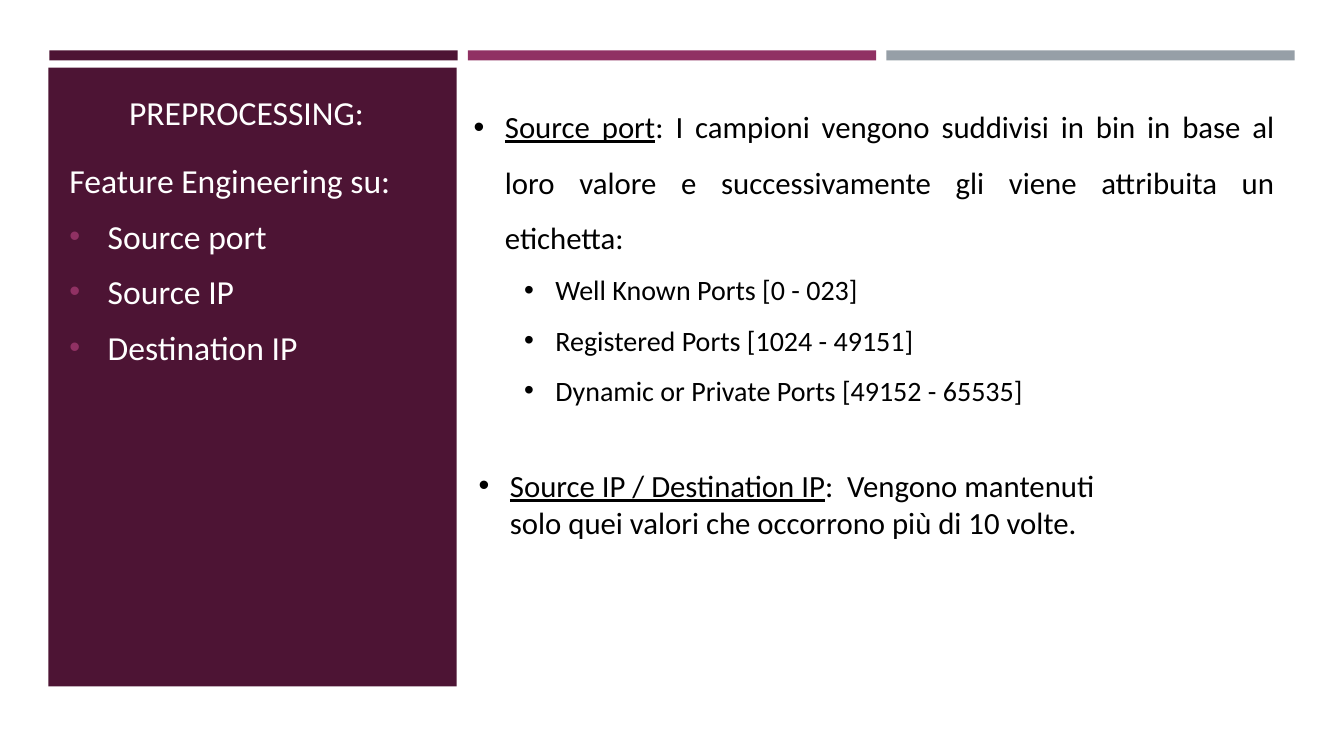
from pptx import Presentation
from pptx.dml.color import RGBColor
from pptx.enum.shapes import MSO_SHAPE as Shape
from pptx.enum.text import MSO_ANCHOR as Anchor, PP_ALIGN as Align
from pptx.oxml import parse_xml
from pptx.oxml.ns import nsdecls
from pptx.util import Inches, Pt

WHITE = RGBColor(0xFF, 0xFF, 0xFF)
BLACK = RGBColor(0x00, 0x00, 0x00)
PLUM = RGBColor(0x4D, 0x14, 0x34)
MAGENTA = RGBColor(0x90, 0x31, 0x63)
GREY = RGBColor(0x96, 0x9F, 0xA7)


class SlideBuilder:
    font = "Calibri"

    def __init__(self, page):
        self.page = page

    def block(self, left, top, width, height, color):
        shape = self.page.shapes.add_shape(
            Shape.RECTANGLE, Inches(left), Inches(top), Inches(width), Inches(height))
        shape.shadow.inherit = False
        shape.fill.solid()
        shape.fill.fore_color.rgb = color
        shape.line.fill.background()

    def text_box(self, left, top, width, height, anchor=Anchor.TOP):
        box = self.page.shapes.add_textbox(
            Inches(left), Inches(top), Inches(width), Inches(height))
        frame = box.text_frame
        frame.word_wrap = True
        frame.vertical_anchor = anchor
        return frame

    def paragraph(self, frame, text, size, color, lead="", align=Align.LEFT,
                  spacing=None, before=0, after=0):
        """Fill the empty first paragraph or add one; lead is underlined."""
        first = frame.paragraphs[0]
        para = frame.add_paragraph() if first.runs else first
        para.alignment = align
        para.line_spacing = spacing
        para.space_before, para.space_after = Pt(before), Pt(after)
        for words, underlined in ((lead, True), (text, False)):
            if words:
                span = para.add_run()
                span.text = words
                span.font.name = self.font
                span.font.size = Pt(size)
                span.font.color.rgb = color
                span.font.underline = underlined
        return para

    def bullet(self, para, color, indent, hanging, level=0, percent=100):
        para.level = level
        properties = para._p.get_or_add_pPr()
        properties.set("marL", str(Inches(indent)))
        properties.set("indent", str(-Inches(hanging)))
        for markup in (
            f'<a:buClr {nsdecls("a")}><a:srgbClr val="{color}"/></a:buClr>',
            f'<a:buSzPct {nsdecls("a")} val="{percent * 1000}"/>',
            f'<a:buFont {nsdecls("a")} typeface="Arial"/>',
            f'<a:buChar {nsdecls("a")} char="•"/>',
        ):
            properties.append(parse_xml(markup))


def main():
    deck = Presentation()
    deck.slide_width, deck.slide_height = Inches(13.33), Inches(7.5)
    page = deck.slides.add_slide(deck.slide_layouts[6])
    builder = SlideBuilder(page)

    builder.block(0, 0, 13.33, 7.5, WHITE)
    builder.block(0.48, 0.67, 4.05, 6.14, PLUM)
    for column, color in enumerate((PLUM, MAGENTA, GREY)):
        builder.block(0.49 + 4.15 * column, 0.5, 4.05, 0.1, color)

    title = builder.text_box(0.71, 0.84, 3.47, 0.52, Anchor.BOTTOM)
    builder.paragraph(title, "PREPROCESSING:", 24, WHITE, align=Align.CENTER)

    features = builder.text_box(0.59, 1.54, 3.95, 4.87)
    gaps = {"before": 4.8, "after": 6}
    builder.paragraph(features, "Feature Engineering su:", 24, WHITE, **gaps)
    for name in ("Source port", "Source IP", "Destination IP"):
        para = builder.paragraph(features, name, 24, WHITE, **gaps)
        builder.bullet(para, MAGENTA, 0.38, 0.38, percent=92)

    ports = builder.text_box(4.6, 0.84, 8.14, 4.16)
    para = builder.paragraph(
        ports, ": I campioni vengono suddivisi in bin in base al loro valore e "
        "successivamente gli viene attribuita un etichetta:",
        22, BLACK, lead="Source port", align=Align.JUSTIFY, spacing=1.5)
    builder.bullet(para, BLACK, 0.31, 0.31)
    for port_range in ("Well Known Ports [0 - 023]",
                       "Registered Ports [1024 - 49151]",
                       "Dynamic or Private Ports [49152 - 65535]"):
        para = builder.paragraph(ports, port_range, 20, BLACK,
                                 align=Align.JUSTIFY, spacing=1.5)
        builder.bullet(para, BLACK, 0.81, 0.31, level=1)

    addresses = builder.text_box(4.65, 4.58, 6.77, 0.84)
    para = builder.paragraph(
        addresses, ":  Vengono mantenuti solo quei valori che occorrono più di 10 volte.",
        22, BLACK, lead="Source IP / Destination IP")
    builder.bullet(para, BLACK, 0.31, 0.31)

    deck.save("out.pptx")


if __name__ == "__main__":
    main()
